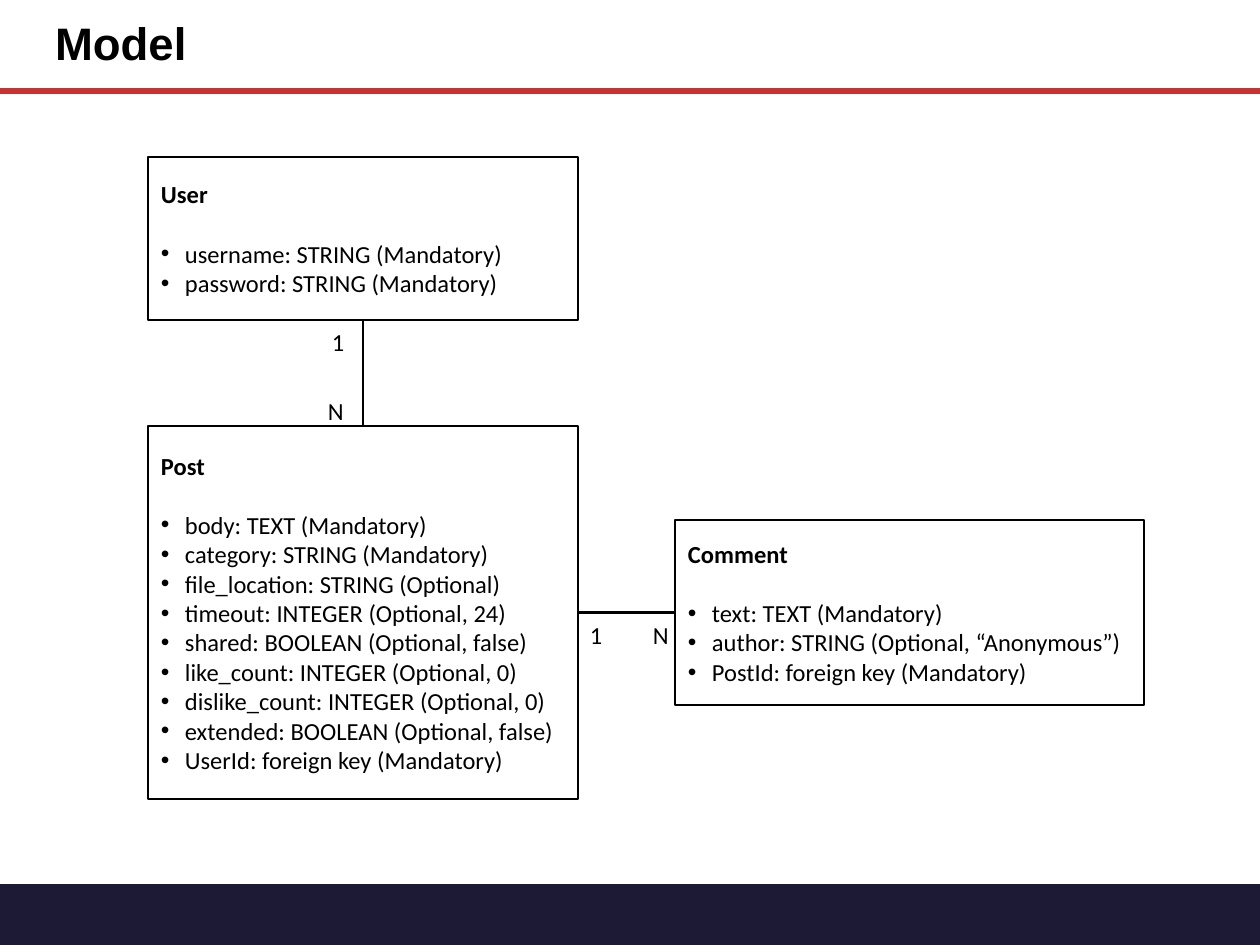
"""Build the Model slide: three entity boxes joined by one-to-many links."""
from lxml import etree
from pptx import Presentation
from pptx.dml.color import RGBColor
from pptx.enum.shapes import MSO_CONNECTOR, MSO_SHAPE
from pptx.enum.text import MSO_ANCHOR, PP_ALIGN
from pptx.oxml.ns import qn
from pptx.util import Pt

STRAIGHT = MSO_CONNECTOR.STRAIGHT
RECTANGLE = MSO_SHAPE.RECTANGLE
PROCESS = MSO_SHAPE.FLOWCHART_PROCESS
MIDDLE, TOP = MSO_ANCHOR.MIDDLE, MSO_ANCHOR.TOP
LEFT = PP_ALIGN.LEFT

BLACK = RGBColor(0x00, 0x00, 0x00)
RED = RGBColor(0xC8, 0x32, 0x32)
NAVY = RGBColor(0x1D, 0x1A, 0x36)

SCALE = 914400 / 126
WIDTH, HEIGHT = 1260, 945
HEADER_HEIGHT, FOOTER_TOP = 91, 884
INSET, BULLET_INDENT = 13, 24
RIGHT_SIDE, LEFT_SIDE, BOTTOM_SIDE, TOP_SIDE = 3, 1, 2, 0

TITLE = "Model"
ENTITIES = {
    "User": ((148, 157, 430, 163), [
        "username: STRING (Mandatory)",
        "password: STRING (Mandatory)",
    ]),
    "Post": ((148, 426, 430, 373), [
        "body: TEXT (Mandatory)",
        "category: STRING (Mandatory)",
        "file_location: STRING (Optional)",
        "timeout: INTEGER (Optional, 24)",
        "shared: BOOLEAN (Optional, false)",
        "like_count: INTEGER (Optional, 0)",
        "dislike_count: INTEGER (Optional, 0)",
        "extended: BOOLEAN (Optional, false)",
        "UserId: foreign key (Mandatory)",
    ]),
    "Comment": ((675, 520, 469, 185), [
        "text: TEXT (Mandatory)",
        "author: STRING (Optional, “Anonymous”)",
        "PostId: foreign key (Mandatory)",
    ]),
}
LINKS = [
    ("User", BOTTOM_SIDE, "Post", TOP_SIDE),
    ("Post", RIGHT_SIDE, "Comment", LEFT_SIDE),
]
CARDINALITIES = [
    ("1", (319, 321, 25, 43)),
    ("N", (315, 390, 28, 43)),
    ("1", (577, 614, 25, 43)),
    ("N", (640, 614, 28, 43)),
]


def px(*lengths):
    return [round(length * SCALE) for length in lengths]


def write(paragraph, text, size=14, font="Calibri", bold=False, bullet=False,
          space_after=0, line_spacing=1.0):
    paragraph.alignment = LEFT
    paragraph.space_after = Pt(space_after)
    paragraph.line_spacing = line_spacing
    run = paragraph.add_run()
    run.text = text
    run.font.size = Pt(size)
    run.font.name = font
    run.font.bold = bold
    run.font.color.rgb = BLACK
    if bullet:
        properties = paragraph._p.get_or_add_pPr()
        indent = px(BULLET_INDENT)[0]
        properties.set("marL", str(indent))
        properties.set("indent", str(-indent))
        etree.SubElement(properties, qn("a:buFont")).set("typeface", "Arial")
        etree.SubElement(properties, qn("a:buChar")).set("char", "•")


def set_frame(shape, anchor=MIDDLE, wrap=True, right=INSET):
    frame = shape.text_frame
    frame.word_wrap = wrap
    frame.vertical_anchor = anchor
    frame.margin_left, frame.margin_right = px(INSET, right)
    return frame


def add_box(slide, box, kind=RECTANGLE, fill=None, line=None):
    shape = slide.shapes.add_shape(kind, *px(*box))
    shape.shadow.inherit = False
    if fill is None:
        shape.fill.background()
    else:
        shape.fill.solid()
        shape.fill.fore_color.rgb = fill
    if line is None:
        shape.line.fill.background()
    else:
        shape.line.color.rgb = line
        shape.line.width = Pt(1.5)
    return shape


def add_line(slide, ends=(0, 0, 0, 0), color=BLACK, width=1.5):
    connector = slide.shapes.add_connector(STRAIGHT, *px(*ends))
    connector.line.color.rgb = color
    connector.line.width = Pt(width)
    etree.SubElement(connector._element.spPr, qn("a:effectLst"))
    return connector


def add_entity(slide, name, box, fields):
    shape = add_box(slide, box, line=BLACK)
    frame = set_frame(shape)
    write(frame.paragraphs[0], name, bold=True, space_after=17)
    for field in fields:
        write(frame.add_paragraph(), field, bullet=True)
    return shape


def main():
    presentation = Presentation()
    presentation.slide_width, presentation.slide_height = px(WIDTH, HEIGHT)
    slide = presentation.slides.add_slide(presentation.slide_layouts[6])

    add_box(slide, (0, FOOTER_TOP, WIDTH, HEIGHT - FOOTER_TOP), PROCESS, fill=NAVY)
    add_line(slide, (0, HEADER_HEIGHT, WIDTH, HEADER_HEIGHT), RED, 3.25)
    title = slide.shapes.add_textbox(*px(42, 0, 1050, HEADER_HEIGHT))
    write(set_frame(title).paragraphs[0], TITLE, size=26, font="Arial",
          bold=True, line_spacing=0.9)

    entities = {name: add_entity(slide, name, box, fields)
                for name, (box, fields) in ENTITIES.items()}
    for start, start_side, end, end_side in LINKS:
        connector = add_line(slide)
        connector.begin_connect(entities[start], start_side)
        connector.end_connect(entities[end], end_side)
    for text, box in CARDINALITIES:
        label = slide.shapes.add_textbox(*px(*box))
        write(set_frame(label, TOP, wrap=False, right=0).paragraphs[0], text)

    presentation.save("out.pptx")


if __name__ == "__main__":
    main()
